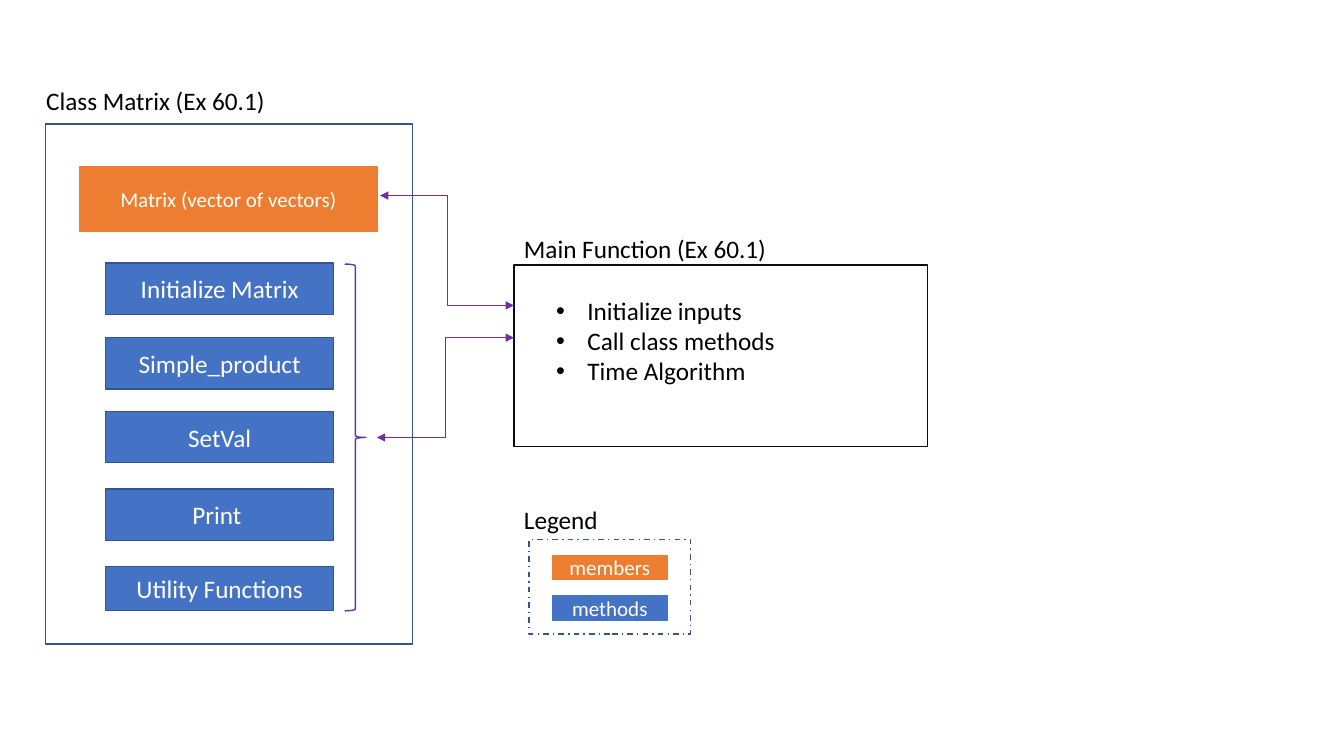
from lxml import etree
from pptx import Presentation
from pptx import util as u
from pptx.dml.color import RGBColor
from pptx.enum import dml, shapes, text
from pptx.oxml import ns

COLORS = {"white": "FFFFFF", "black": "000000", "frame": "0D0D0D",
          "member": "ED7D31", "method": "4472C4", "outline": "325491",
          "link": "7030A0"}
FONT = "Calibri"
COLUMNS, ROWS = 80, 45

deck = Presentation()
deck.slide_width, deck.slide_height = u.Inches(13.333), u.Inches(7.5)
page = deck.slides.add_slide(deck.slide_layouts[6])


def color(name):
    return RGBColor.from_string(COLORS[name])


def grid(column, row):
    return (round(column * deck.slide_width / COLUMNS),
            round(row * deck.slide_height / ROWS))


def place(box, left, top, width, height):
    """Turn grid offsets inside a box into slide lengths."""
    return grid(box[0] + left, box[1] + top) + grid(width, height)


def write(para, words, size, ink):
    span = para.add_run()
    span.text = words
    span.font.name, span.font.size = FONT, u.Pt(size)
    span.font.color.rgb = color(ink)


def add_block(group, area, line, fill=None, words="", size=18,
              kind=shapes.MSO_SHAPE.RECTANGLE):
    block = group.shapes.add_shape(kind, *area)
    block.shadow.inherit = False
    if fill:
        block.fill.solid()
        block.fill.fore_color.rgb = color(fill)
    else:
        block.fill.background()
    block.line.color.rgb = color(line)
    block.line.width = u.Pt(1)
    if words:
        frame = block.text_frame
        frame.word_wrap = True
        frame.vertical_anchor = text.MSO_ANCHOR.MIDDLE
        para = frame.paragraphs[0]
        para.alignment = text.PP_ALIGN.CENTER
        write(para, words, size, "white")
    return block


def add_caption(group, area, words):
    frame = group.shapes.add_textbox(*area).text_frame
    frame.word_wrap = False
    write(frame.paragraphs[0], words, 18, "black")


def add_bullets(group, area, items):
    frame = group.shapes.add_textbox(*area).text_frame
    frame.word_wrap = True
    for index, item in enumerate(items):
        para = frame.add_paragraph() if index else frame.paragraphs[0]
        write(para, item, 18, "black")
        props = para._p.get_or_add_pPr()
        props.set("marL", str(u.Inches(0.31)))
        props.set("indent", str(-u.Inches(0.31)))
        etree.SubElement(props, ns.qn("a:buFont")).set("typeface", "Arial")
        etree.SubElement(props, ns.qn("a:buChar")).set("char", "•")


def add_link(start, end):
    link = page.shapes.add_connector(shapes.MSO_CONNECTOR.ELBOW,
                                     *grid(*start), *grid(*end))
    link.line.color.rgb = color("link")
    link.line.width = u.Pt(0.75)
    outline = link.line._get_or_add_ln()
    for tip in ("a:headEnd", "a:tailEnd"):
        etree.SubElement(outline, ns.qn(tip)).set("type", "triangle")
    etree.SubElement(link._element.spPr, ns.qn("a:effectLst"))


def draw_class(box):
    group = page.shapes.add_group_shape()
    add_block(group, place(box, 0, 0, *box[2:]), "outline", "white")
    add_caption(group, place(box, -0.54, -2.58, 14.34, 2.4),
                "Class Matrix (Ex 60.1)")
    add_block(group, place(box, 2.04, 2.52, 17.7, 3.9), "member", "member",
              "Matrix (vector of vectors)", 15)
    # Methods: top, height, name
    methods = [(8.28, 3.06, "Initialize Matrix"),
               (12.72, 3.06, "Simple_product"),
               (17.1, 3.06, "SetVal"),
               (21.72, 3.06, "Print "),
               (26.34, 2.64, "Utility Functions")]
    for top, height, name in methods:
        add_block(group, place(box, 3.6, top, 13.56, height),
                  "outline", "method", name)
    # Brace around all methods
    brace = add_block(page, place(box, 17.82, 8.34, 1.26, 20.64), "link",
                      kind=shapes.MSO_SHAPE.LEFT_BRACE)
    brace.rotation = 180


def draw_main(box):
    group = page.shapes.add_group_shape()
    add_block(group, place(box, 0, 0, *box[2:]), "frame")
    add_caption(group, place(box, 0, -2.16, 15.78, 2.4),
                "Main Function (Ex 60.1)")
    add_bullets(group, place(box, 1.92, 1.5, 16.38, 6.06),
                ["Initialize inputs", "Call class methods", "Time Algorithm"])


def draw_legend(box):
    group = page.shapes.add_group_shape()
    border = add_block(group, place(box, 0, 0, *box[2:]), "outline")
    border.line.dash_style = dml.MSO_LINE.DASH_DOT
    for index, kind in enumerate(("member", "method")):
        add_block(group, place(box, 1.38, 0.96 + 2.4 * index, 6.84, 1.44),
                  kind, kind, kind + "s", 15)
    add_caption(group, place(box, -0.9, -2.4, 5.64, 2.4), "Legend")


def draw_links(main_box, class_box):
    # Main function to the member, then to the brace of methods
    for main_row, column, row in ((2.4, 19.92, 4.26), (4.32, 19.74, 18.66)):
        add_link((main_box[0], main_box[1] + main_row),
                 (class_box[0] + column, class_box[1] + row))


# Regions: column, row, columns wide, rows high
CLASS_BOX = (2.7, 7.38, 21.84, 30.96)
MAIN_BOX = (30.6, 15.78, 24.6, 10.8)
LEGEND_BOX = (31.5, 32.1, 9.6, 5.64)

draw_class(CLASS_BOX)
draw_main(MAIN_BOX)
draw_legend(LEGEND_BOX)
draw_links(MAIN_BOX, CLASS_BOX)
deck.save("out.pptx")
